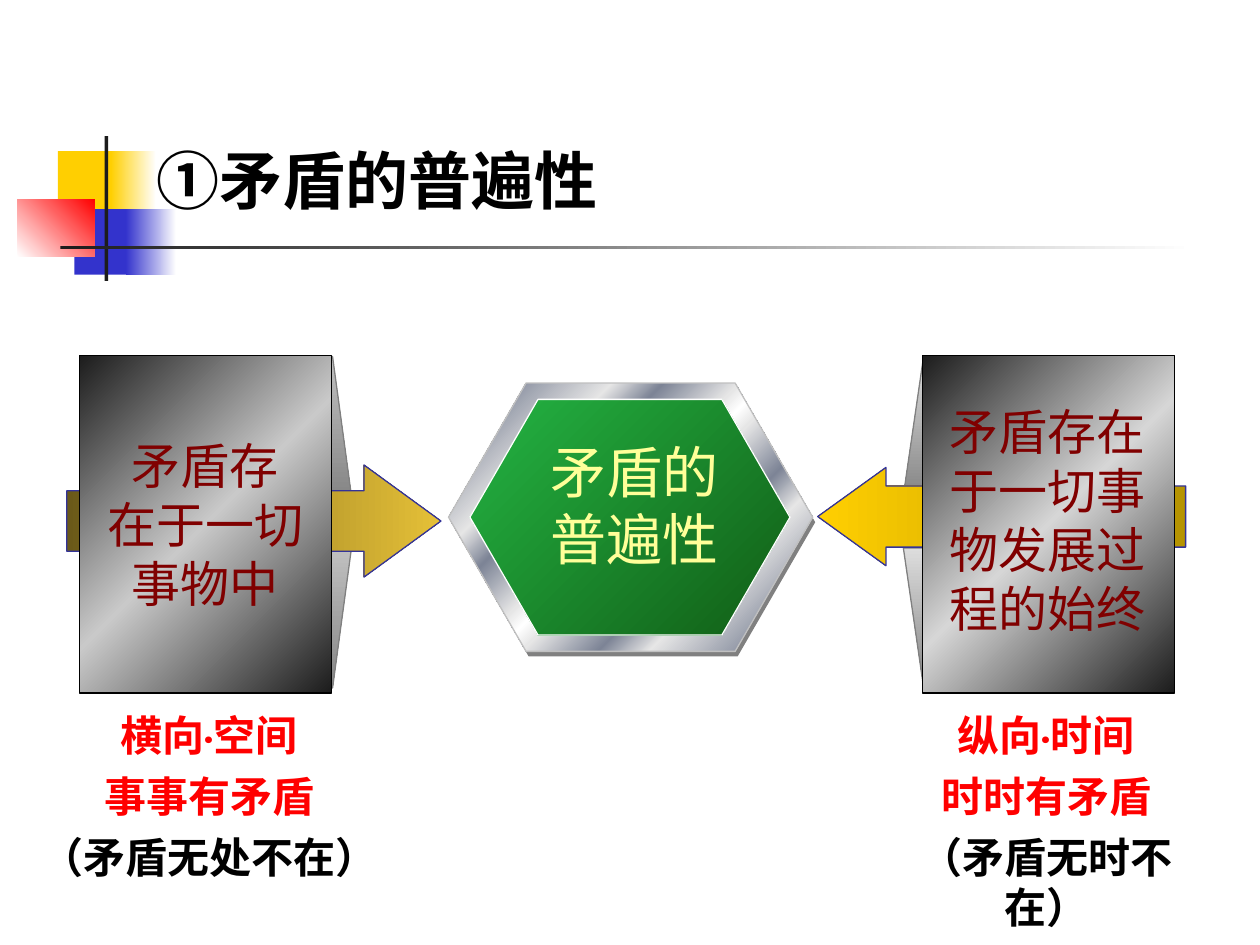
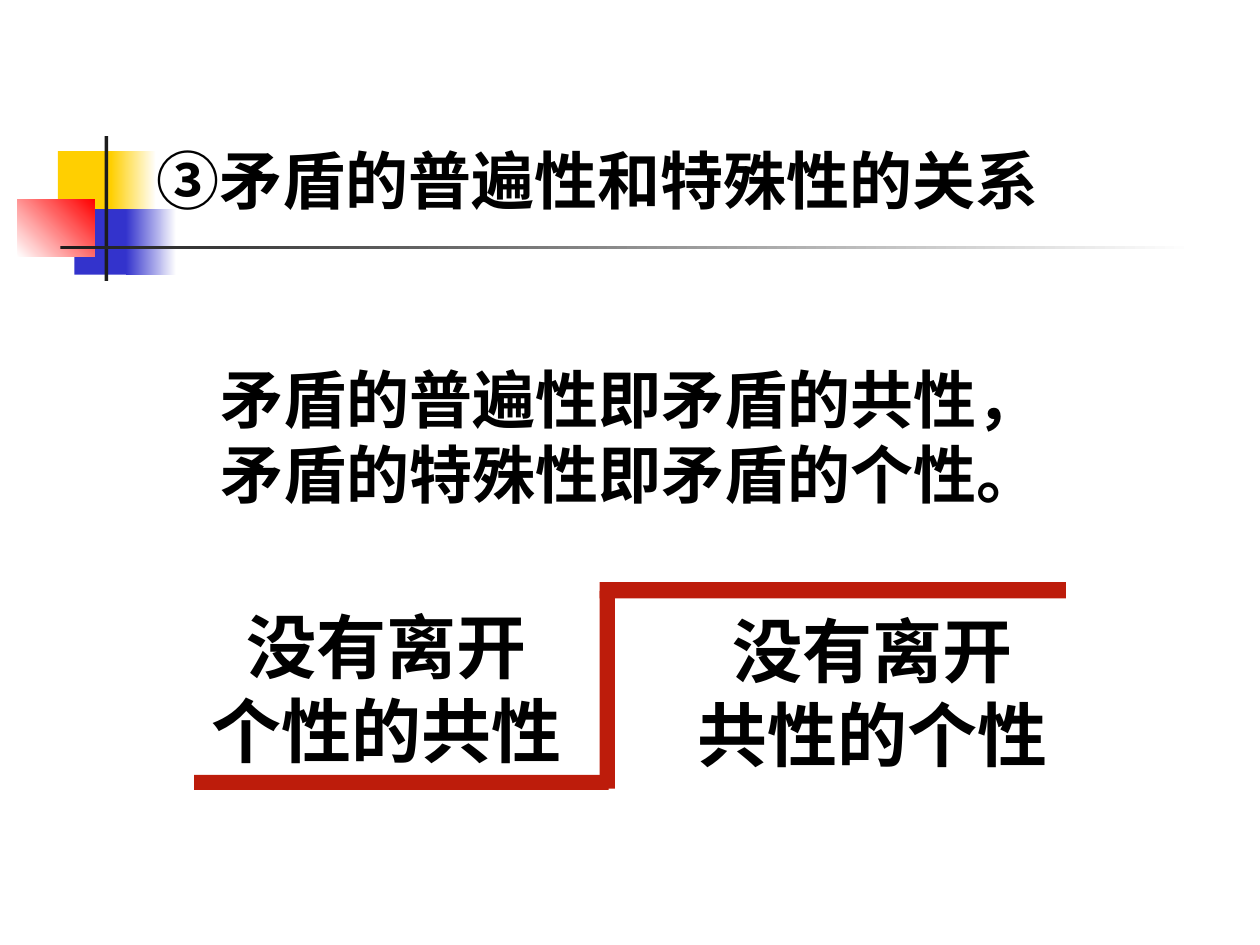
from pptx import Presentation
from pptx.dml.color import RGBColor as RGB
from pptx.enum.shapes import MSO_SHAPE as SHAPE
from pptx.enum.text import MSO_AUTO_SIZE as AUTO, PP_ALIGN as ALIGN
from pptx.oxml import parse_xml
from pptx.oxml.ns import nsdecls
from pptx.util import Inches, Pt

WHITE = RGB(0xFF, 0xFF, 0xFF)
BLACK = RGB(0x00, 0x00, 0x00)
INK = RGB(0x1C, 0x1C, 0x1C)
YELLOW = RGB(0xFF, 0xCF, 0x01)
BLUE = RGB(0x33, 0x33, 0xCC)
RED = RGB(0xFF, 0x00, 0x00)
MAROON = RGB(0x80, 0x00, 0x00)
CREAM = RGB(0xFF, 0xFF, 0x99)
BRICK = RGB(0xBD, 0x1C, 0x0B)
NAVY = RGB(0x33, 0x33, 0x99)
GREY = RGB(0x80, 0x80, 0x80)
SILVER = RGB(0xC0, 0xC0, 0xC0)
LIGHT_GREY = RGB(0xDD, 0xDD, 0xDD)
DARK_GREY = RGB(0x86, 0x86, 0x86)
LEFT_SHEEN = RGB(0xC9, 0xC9, 0xC9)
RIGHT_SHEEN = RGB(0xD6, 0xD6, 0xD6)
OLIVE = RGB(0x6A, 0x59, 0x19)
GOLD = RGB(0xE5, 0xC0, 0x37)
DARK_GOLD = RGB(0xB6, 0x94, 0x01)
GREEN = RGB(0x24, 0xB4, 0x43)
DARK_GREEN = RGB(0x11, 0x5D, 0x16)
PALE = RGB(0xE6, 0xE6, 0xE6)
STEEL = RGB(0x7D, 0x84, 0x96)

CJK = "Noto Sans CJK SC"
CHROME = list(zip((0, 8, 26, 34, 46, 50, 54, 66, 74, 92, 100),
                  (PALE, STEEL, PALE, STEEL, PALE, WHITE, PALE, STEEL, PALE, STEEL, PALE)))


def style(sp, fill, line=None):
    sp.shadow.inherit = False
    if isinstance(fill, RGB):
        sp.fill.solid()
        sp.fill.fore_color.rgb = fill
    else:
        angle, stops = fill
        gs = "".join(f'<a:gs pos="{pos * 1000}"><a:srgbClr val="{color}"/></a:gs>'
                     for pos, color in stops)
        sp.element.spPr.insert(2, parse_xml(
            f'<a:gradFill {nsdecls("a")} rotWithShape="1"><a:gsLst>{gs}</a:gsLst>'
            f'<a:lin ang="{angle * 60000}" scaled="0"/></a:gradFill>'))
    if line is None:
        sp.line.fill.background()
    else:
        sp.line.color.rgb = line
        sp.line.width = Pt(0.75)


def write(tf, paras, size, color, name="Arial", bold=False, align=ALIGN.CENTER, space=0, wrap=True):
    tf.word_wrap = wrap
    for i, runs in enumerate(paras):
        p = tf.paragraphs[0] if i == 0 else tf.add_paragraph()
        p.alignment = align
        if i and space:
            p.space_before = Pt(space)
        for text, changes in runs:
            r = p.add_run()
            r.text = text
            fmt = {"size": Pt(size), "bold": bold, "name": name, "color": color, **changes}
            r.font.color.rgb = fmt.pop("color")
            for key, value in fmt.items():
                setattr(r.font, key, value)
            r.font._element.append(parse_xml(f'<a:ea {nsdecls("a")} typeface="{CJK}"/>'))


prs = Presentation()
prs.slide_width, prs.slide_height = Inches(10), Inches(7.5)

MOTIF = [
    ((0.46, 1.2, 0.48, 0.52), YELLOW),
    ((0.88, 1.2, 0.36, 0.52), (0, [(0, YELLOW), (100, WHITE)])),
    ((0.59, 1.66, 0.46, 0.52), BLUE),
    ((1, 1.66, 0.4, 0.52), (0, [(0, BLUE), (100, WHITE)])),
    ((0.14, 1.58, 0.61, 0.46), (315, [(0, WHITE), (100, RED)])),
    ((0.83, 1.08, 0.03, 1.15), INK),
    ((0.48, 1.95, 9, 0.03), (0, [(0, INK), (100, WHITE)])),
]
slides = []
for number, title in [("①", "矛盾的普遍性"), ("③", "矛盾的普遍性和特殊性的关系")]:
    s = prs.slides.add_slide(prs.slide_layouts[6])
    for at, fill in MOTIF:
        style(s.shapes.add_shape(SHAPE.RECTANGLE, *map(Inches, at)), fill)
    tf = s.shapes.add_textbox(*map(Inches, (1.14, 1.07, 8.27, 0.71))).text_frame
    write(tf, [[(number, {"name": CJK}), (title, {})]], 36, BLACK, bold=True, align=ALIGN.LEFT)
    tf.auto_size = AUTO.SHAPE_TO_FIT_TEXT
    slides.append(s)

universality, relation = slides

s = universality
PANELS = [
    {"left": 0.63, "sheen": LEFT_SHEEN, "fold": SILVER, "flip": False,
     "folds": [[(2.64, 2.83), (2.79, 3.94), (1.01, 3.94), (0.85, 2.83)],
               [(2.64, 5.46), (2.79, 4.35), (1.01, 4.35), (0.86, 5.46)]],
     "arrow": (0.53, 3.69, 2.97, 0.89), "adj": (0.54, 0.686), "shaft": (OLIVE, GOLD)},
    {"left": 7.32, "sheen": RIGHT_SHEEN, "fold": LIGHT_GREY, "flip": True,
     "folds": [[(7.33, 2.83), (7.17, 3.93), (9, 3.93), (9.16, 2.83)],
               [(7.33, 5.45), (7.17, 4.35), (8.98, 4.35), (9.14, 5.45)]],
     "arrow": (6.49, 3.71, 2.92, 0.78), "adj": (0.622, 0.694), "shaft": (DARK_GOLD, YELLOW)},
]
panels = []
for panel in PANELS:
    for points in panel["folds"]:
        start, *rest = [(Inches(x), Inches(y)) for x, y in points]
        fb = s.shapes.build_freeform(*start)
        fb.add_line_segments(rest, close=True)
        style(fb.convert_to_shape(), (90, [(0, panel["fold"]), (100, DARK_GREY)]), GREY)
    arrow = s.shapes.add_shape(SHAPE.RIGHT_ARROW, *map(Inches, panel["arrow"]))
    for i, value in enumerate(panel["adj"]):
        arrow.adjustments[i] = value
    if panel["flip"]:
        arrow.element.spPr.xfrm.set("flipH", "1")
    style(arrow, (0, list(zip((0, 100), panel["shaft"]))), NAVY)
    sp = s.shapes.add_shape(SHAPE.RECTANGLE, Inches(panel["left"]), Inches(2.82), Inches(2), Inches(2.68))
    style(sp, (45, [(0, INK), (50, panel["sheen"]), (100, INK)]), BLACK)
    panels.append(sp)
write(panels[0].text_frame, [[(line, {})] for line in ("矛盾存", "在于一切", "事物中")],
      28, MAROON, wrap=False)

HEXAGONS = [
    ((3.58, 3.08, 2.89, 2.13), GREY, None),
    ((3.56, 3.04, 2.89, 2.13), (45, CHROME), SILVER),
    ((3.73, 3.17, 2.54, 1.87), (45, [(0, GREEN), (100, DARK_GREEN)]), WHITE),
]
for at, fill, line in HEXAGONS:
    sp = s.shapes.add_shape(SHAPE.HEXAGON, *map(Inches, at))
    sp.adjustments[0], sp.adjustments[1] = 0.289, 1.155
    style(sp, fill, line)

CAPTION = {"size": 24, "color": RED, "name": "Karla", "bold": True, "space": 6}
HEADING = {"size": 40, "color": BLACK, "bold": True}
TEXTS = [
    (universality, (4.27, 3.42, 1.54, 1.16), ["矛盾的", "普遍性"],
     {"size": 32, "color": CREAM, "wrap": False}),
    (universality, (7.35, 3.14, 1.92, 1.99), ["矛盾存在于一切事物发展过程的始终"],
     {"size": 28, "color": MAROON}),
    (universality, (0.12, 5.58, 3.08, 1.48), ["横向·空间", "事事有矛盾", "（矛盾无处不在）"], CAPTION),
    (universality, (6.89, 5.58, 2.83, 1.48), ["纵向·时间", "时时有矛盾", "（矛盾无时不在）"], CAPTION),
    (relation, (1.54, 4.74, 3.06, 1.45), ["没有离开", "个性的共性"], HEADING),
    (relation, (5.39, 4.77, 3.07, 1.45), ["没有离开", "共性的个性"], HEADING),
    (relation, (1.61, 2.81, 6.78, 1.31), ["矛盾的普遍性即矛盾的共性，矛盾的特殊性即矛盾的个性。"],
     {"size": 36, "color": BLACK, "name": CJK, "bold": True}),
]
for s, at, lines, fmt in TEXTS:
    tf = s.shapes.add_textbox(*map(Inches, at)).text_frame
    paras = [[(line, {"color": BLACK} if line.startswith("（") else {})] for line in lines]
    write(tf, paras, **fmt)
    tf.auto_size = AUTO.SHAPE_TO_FIT_TEXT

for step in [(4.76, 4.69, 0.12, 1.57), (4.76, 4.62, 3.7, 0.13), (1.54, 6.15, 3.29, 0.12)]:
    style(relation.shapes.add_shape(SHAPE.RECTANGLE, *map(Inches, step)), BRICK)

prs.save("out.pptx")
